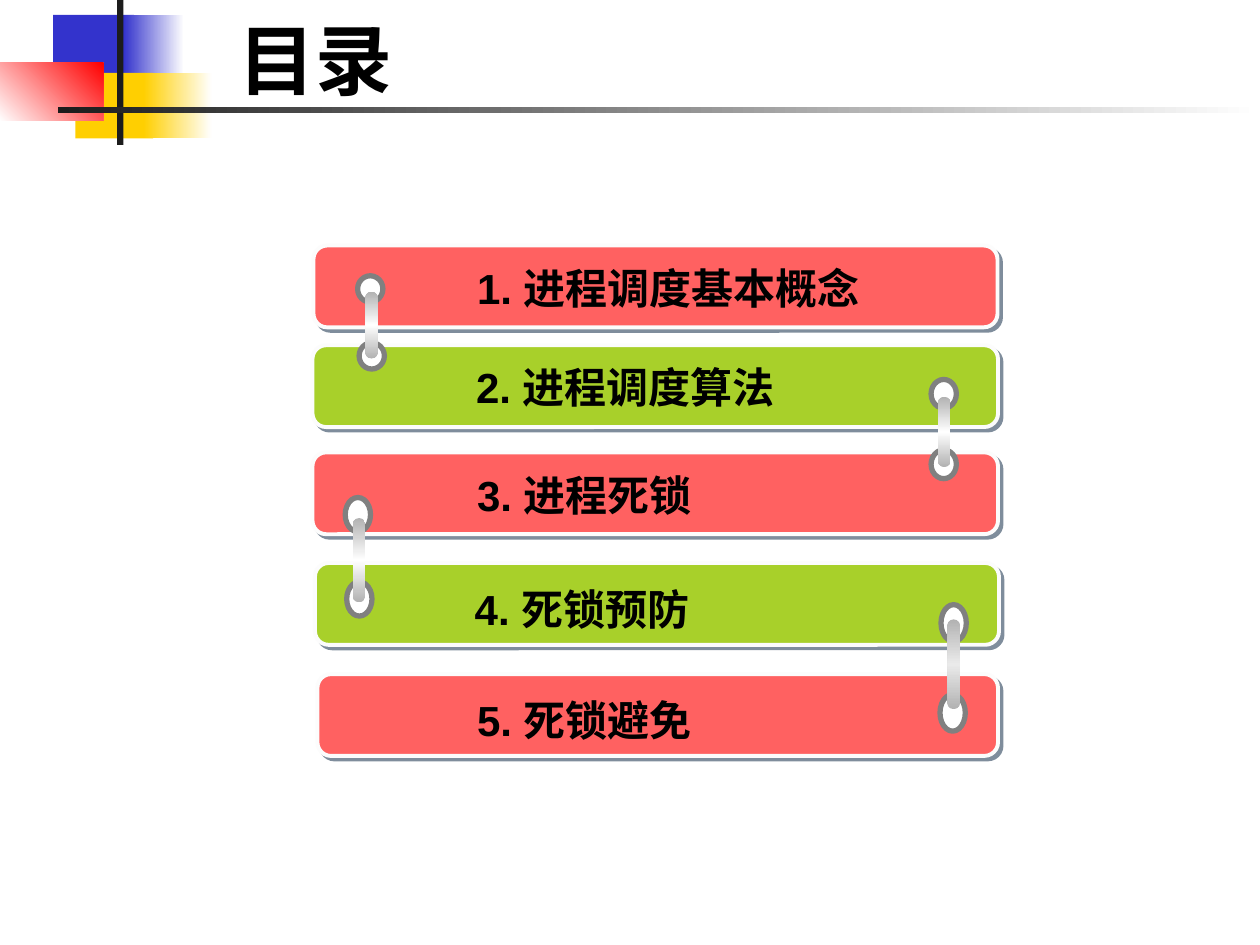
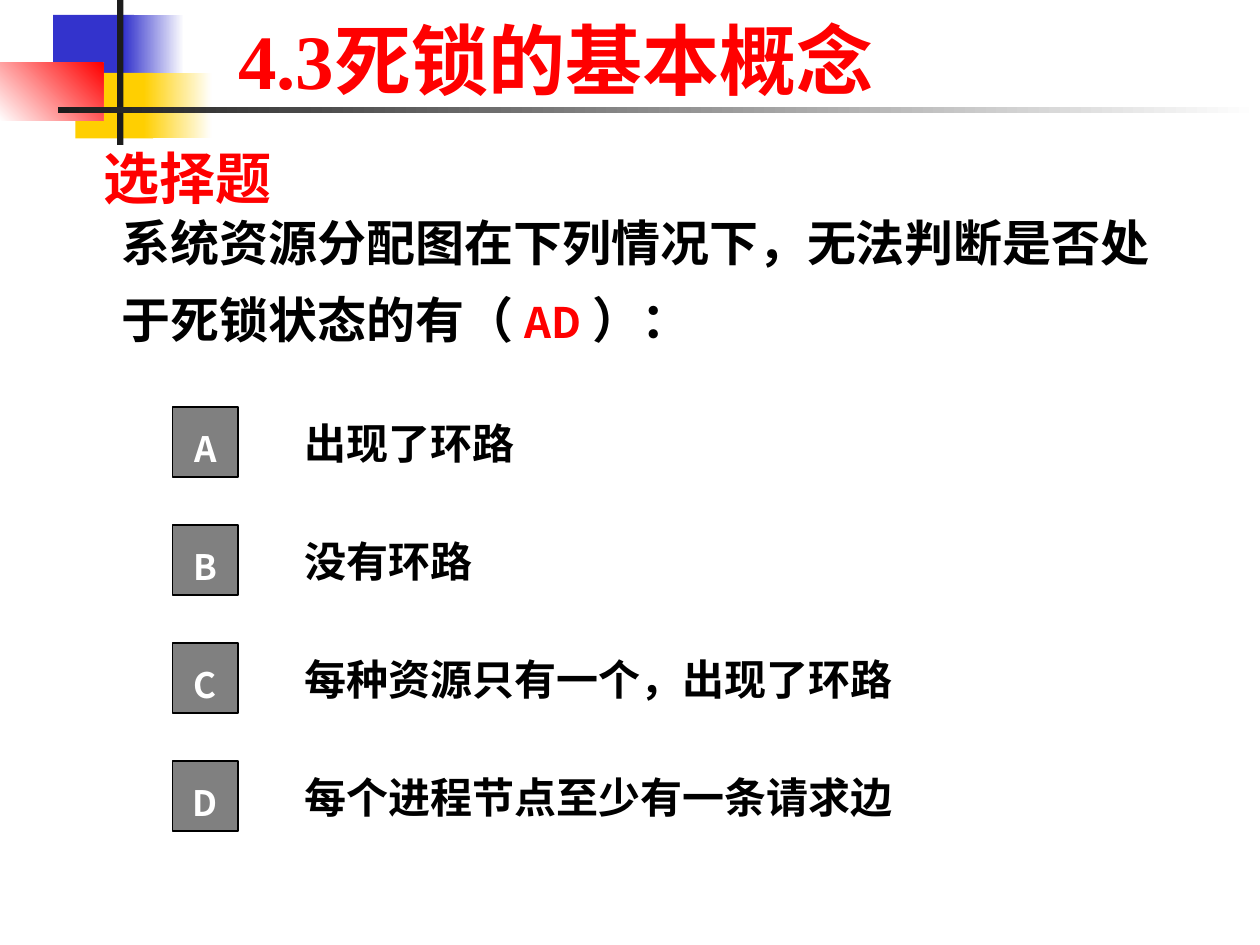
from copy import deepcopy
from dataclasses import dataclass
from typing import NamedTuple

from lxml.etree import SubElement
from pptx import Presentation
from pptx.dml.color import RGBColor
from pptx.enum.shapes import MSO_SHAPE as Shape
from pptx.enum.text import MSO_ANCHOR as Anchor, PP_ALIGN as Align
from pptx.oxml import parse_xml
from pptx.oxml.ns import nsdecls, qn
from pptx.util import Cm, Pt


@dataclass(frozen=True)
class Theme:
    black: str = "000000"
    white: str = "FFFFFF"
    red: str = "FF0000"
    blue: str = "3333CC"
    yellow: str = "FFCF01"
    ink: str = "1C1C1C"
    coral: str = "FF6161"
    lime: str = "A8D02A"
    bar_edge: str = "FCFCFC"
    shadow: str = "001D3A"
    gray: str = "808080"
    metal: str = "B2B2B2"
    dull_shine: str = "EAEAEA"
    title_pt: int = 44
    heading_pt: int = 32
    question_pt: int = 28
    body_pt: int = 24
    letter_pt: int = 20
    serif: str = "Times New Roman"
    sans: str = "Arial"
    cjk: str = "Noto Sans CJK SC"


T = Theme()


class Box(NamedTuple):
    """Left, top, width and height in centimetres."""
    x: float
    y: float
    w: float
    h: float

    def lengths(self) -> list[Cm]:
        return [Cm(v) for v in self]


class Style(NamedTuple):
    font: str
    size: int
    color: str = T.black
    spacing: float = 1.0


class Block(NamedTuple):
    box: Box
    colors: tuple[str, ...]
    angle: int = 0


class Bar(NamedTuple):
    text: str
    box: Box
    text_x: float
    text_y: float


class Pin(NamedTuple):
    upper_x: float
    upper_y: float
    lower_x: float
    lower_y: float
    ring_h: float
    rod_start: float  # share of the ring height
    shine: str = T.white


BLOCKS = [
    Block(Box(1.07, 0.3, 1.63, 1.32), (T.blue,)),
    Block(Box(2.49, 0.3, 1.22, 1.32), (T.blue, T.white)),
    Block(Box(1.52, 1.47, 1.57, 1.32), (T.yellow,)),
    Block(Box(2.9, 1.47, 1.37, 1.32), (T.yellow, T.white)),
    Block(Box(0, 1.27, 2.08, 1.17), (T.white, T.red), 45),
    Block(Box(2.36, 0, 0.13, 2.92), (T.ink,)),
    Block(Box(1.17, 2.16, 24.23, 0.13), (T.ink, T.white)),
]

BARS = [
    Bar("1. 进程调度基本概念", Box(6.32, 4.95, 13.79, 1.65), 8.1, 5.16),
    Bar("2. 进程调度算法", Box(6.3, 6.96, 13.82, 1.65), 8.08, 7.16),
    Bar("3. 进程死锁", Box(6.3, 9.12, 13.82, 1.65), 8.1, 9.35),
    Bar("4. 死锁预防", Box(6.35, 11.35, 13.79, 1.65), 8.05, 11.63),
    Bar("5. 死锁避免", Box(6.4, 13.59, 13.72, 1.65), 8.1, 13.87),
]

PINS = [
    Pin(7.21, 5.56, 7.24, 6.91, 0.53, 0.6),
    Pin(18.77, 7.65, 18.77, 9.07, 0.58, 0.6),
    Pin(6.96, 10.03, 6.99, 11.73, 0.69, 0.6),
    Pin(18.97, 12.19, 18.95, 14.0, 0.74, 0.4, T.dull_shine),
]

OPTIONS = ["出现了环路", "没有环路", "每种资源只有一个，出现了环路", "每个进程节点至少有一条请求边"]
OPTION_TOP, OPTION_PITCH = 8.03, 2.38


def rgb(color: str) -> RGBColor:
    return RGBColor.from_string(color)


def paint(sp, colors: tuple[str, ...], angle: int = 0) -> None:
    """Fill with one colour, or with evenly spaced gradient stops."""
    if len(colors) == 1:
        sp.fill.solid()
        sp.fill.fore_color.rgb = rgb(colors[0])
        return
    sp.fill.gradient()
    sp.fill.gradient_angle = angle
    stops = next(sp._element.iter(qn("a:gsLst")))
    for _ in colors[2:]:
        stops.append(deepcopy(stops[-1]))
    for i, (stop, color) in enumerate(zip(sp.fill.gradient_stops, colors)):
        stop.color.rgb = rgb(color)
        stop.position = i / (len(colors) - 1)


def add_shape(s, kind: Shape, box: Box, colors: tuple[str, ...], angle: int = 0,
              line: str = "", line_pt: float = 0):
    sp = s.shapes.add_shape(kind, *box.lengths())
    sp.shadow.inherit = False
    paint(sp, colors, angle)
    if line:
        sp.line.color.rgb = rgb(line)
        sp.line.width = Pt(line_pt)
    else:
        sp.line.fill.background()
    return sp


def outer_shadow(dist_pt: float):
    return parse_xml(
        f'<a:outerShdw {nsdecls("a")} dist="{Pt(dist_pt)}" dir="2700000" algn="ctr" rotWithShape="0">'
        f'<a:srgbClr val="{T.shadow}"><a:alpha val="50000"/></a:srgbClr></a:outerShdw>')


def style_paragraph(p, style: Style) -> None:
    p.line_spacing = style.spacing
    p.font.name = style.font
    p.font.size = Pt(style.size)
    p.font.bold = True
    p.font.color.rgb = rgb(style.color)
    SubElement(p.font._element, qn("a:ea"), typeface=T.cjk)


def add_text(s, box: Box, text: str, style: Style, anchor: Anchor = Anchor.TOP):
    tf = s.shapes.add_textbox(*box.lengths()).text_frame
    tf.word_wrap = True
    tf.vertical_anchor = anchor
    p = tf.paragraphs[0]
    p.add_run().text = text
    style_paragraph(p, style)
    return p


def add_base_slide(prs, title: str, color: str):
    s = prs.slides.add_slide(prs.slide_layouts[6])
    for block in BLOCKS:
        add_shape(s, Shape.RECTANGLE, block.box, block.colors, block.angle)
    add_text(s, Box(4.55, 0.1, 20.8, 2.41), title,
             Style(T.serif, T.title_pt, color, 0.9), Anchor.MIDDLE)
    return s


def add_bar(s, bar: Bar, color: str) -> None:
    sp = add_shape(s, Shape.ROUNDED_RECTANGLE, bar.box, (color,), line=T.bar_edge, line_pt=2.25)
    sp._element.spPr.find(qn("a:effectLst")).append(outer_shadow(2.8))
    p = add_text(s, Box(bar.text_x, bar.text_y, 10.36, 1.3), bar.text, Style(T.sans, T.body_pt))
    p._p.get_or_add_pPr().set("marL", str(Cm(1.27)))
    effects = SubElement(p.runs[0].font._element, qn("a:effectLst"))
    effects.append(outer_shadow(2))


def add_pin(s, pin: Pin) -> None:
    """Two rings joined by a metal rod."""
    for x, y in ((pin.upper_x, pin.upper_y), (pin.lower_x, pin.lower_y)):
        add_shape(s, Shape.OVAL, Box(x, y, 0.51, pin.ring_h), (T.white,), line=T.gray, line_pt=3)
    rod = Box((pin.upper_x + pin.lower_x) / 2 + 0.14, pin.upper_y + pin.rod_start * pin.ring_h,
              0.25, pin.lower_y - pin.upper_y)
    sp = add_shape(s, Shape.ROUNDED_RECTANGLE, rod, (T.metal, pin.shine, T.metal), 90)
    sp.adjustments[0] = 0.5


def add_option(s, index: int, text: str) -> None:
    y = OPTION_TOP + index * OPTION_PITCH
    add_text(s, Box(5.89, y, 16, 1.78), text, Style(T.cjk, T.body_pt), Anchor.MIDDLE)
    sp = add_shape(s, Shape.RECTANGLE, Box(3.48, y + 0.17, 1.32, 1.42), (T.gray,),
                   line=T.black, line_pt=1)
    tf = sp.text_frame
    tf.word_wrap = False
    tf.vertical_anchor = Anchor.MIDDLE
    p = tf.paragraphs[0]
    p.add_run().text = "ABCD"[index]
    p.alignment = Align.CENTER
    style_paragraph(p, Style(T.cjk, T.letter_pt, T.white, 1.3))


def build_contents(prs) -> None:
    s = add_base_slide(prs, "目录", T.black)
    for i, bar in enumerate(BARS):
        add_bar(s, bar, (T.coral, T.lime)[i % 2])
    for pin in PINS:
        add_pin(s, pin)


def build_quiz(prs) -> None:
    s = add_base_slide(prs, "4.3死锁的基本概念", T.red)
    add_text(s, Box(1.83, 2.77, 14.96, 1.63), "选择题", Style(T.serif, T.heading_pt, T.red))
    p = add_text(s, Box(2.21, 3.86, 22.17, 3.23),
                 "系统资源分配图在下列情况下，无法判断是否处于死锁状态的有（ ",
                 Style(T.cjk, T.question_pt, spacing=1.3), Anchor.MIDDLE)
    answer = p.add_run()
    answer.text = "AD"
    answer.font.size = Pt(T.body_pt)
    answer.font.color.rgb = rgb(T.red)
    p.add_run().text = " ）："
    for i, text in enumerate(OPTIONS):
        add_option(s, i, text)


def main() -> None:
    prs = Presentation()
    prs.slide_width, prs.slide_height = Cm(25.4), Cm(19.05)
    build_contents(prs)
    build_quiz(prs)
    prs.save("out.pptx")


if __name__ == "__main__":
    main()
